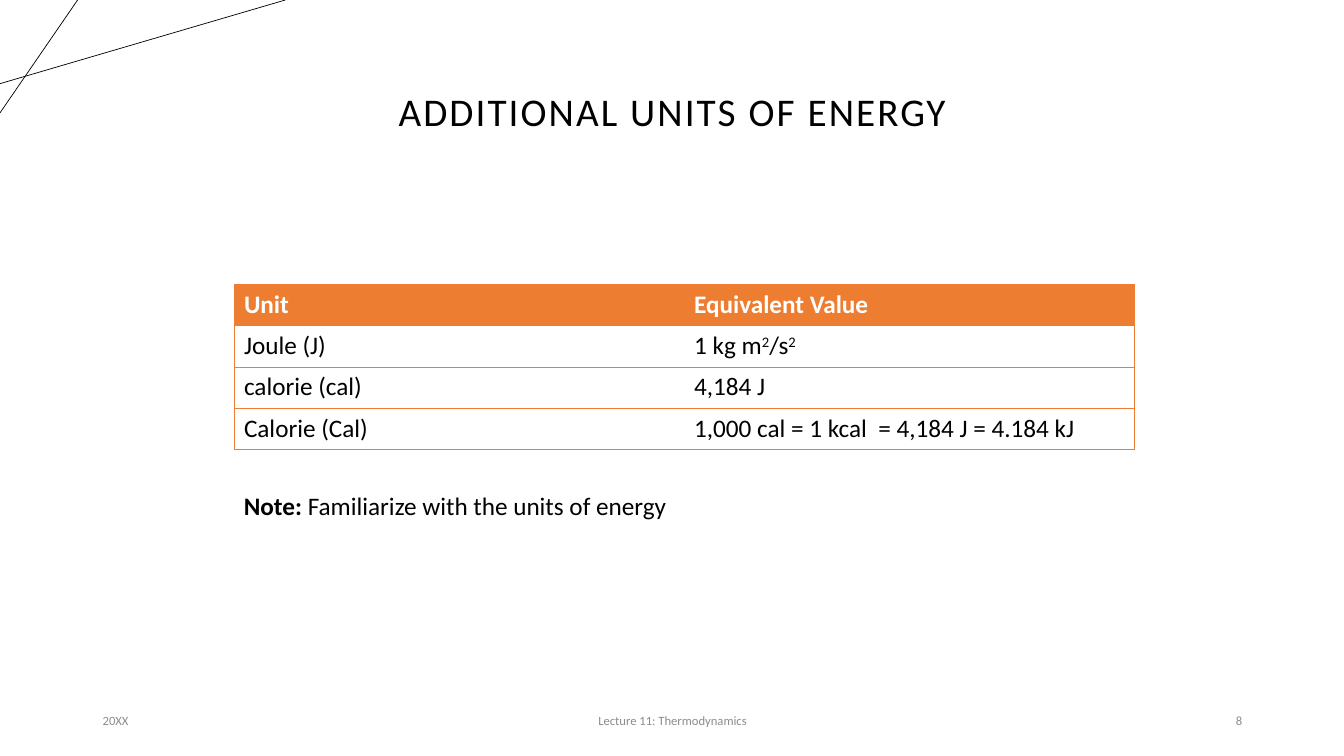
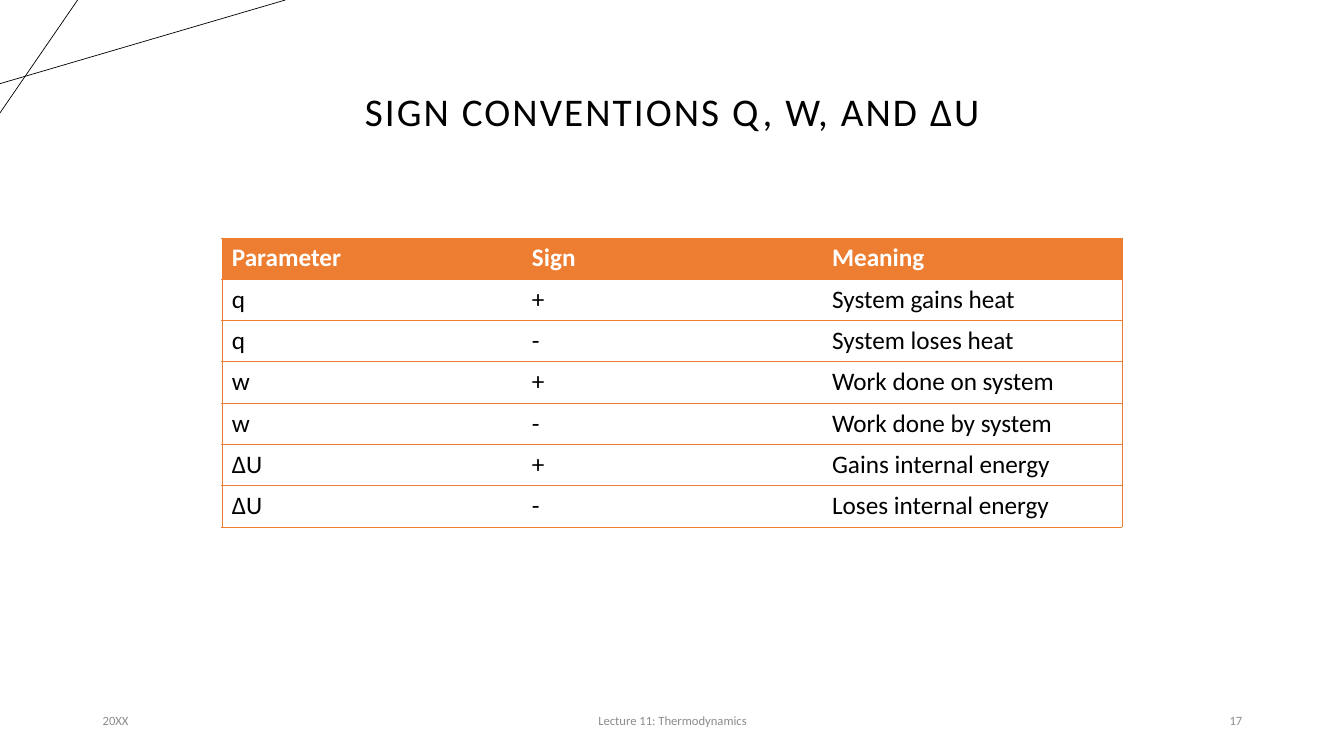
import pptx
import pptx.util
import pptx.dml.color
import pptx.enum.shapes
import pptx.enum.text
import pptx.oxml.ns
from lxml import etree

Color = pptx.dml.color.RGBColor
Align = pptx.enum.text.PP_ALIGN
Anchor = pptx.enum.text.MSO_ANCHOR

BLACK = Color(0x00, 0x00, 0x00)
WHITE = Color(0xFF, 0xFF, 0xFF)
GRAY = Color(0x8C, 0x8C, 0x8C)
ORANGE = Color(0xED, 0x7D, 0x31)

FONT = "Calibri"
UNIT = 9144
WIDTH, HEIGHT = 1333, 750
ROW = 41
LINE = pptx.util.Pt(0.5)


def px(*sizes):
    return [pptx.util.Emu(size * UNIT) for size in sizes]


def node(parent, tag, **attrs):
    return etree.SubElement(parent, pptx.oxml.ns.qn(tag), **attrs)


class Deck:
    def __init__(self):
        self.show = pptx.Presentation()
        self.show.slide_width, self.show.slide_height = px(WIDTH, HEIGHT)
        self.slide = None

    def start(self, title, number):
        self.slide = self.show.slides.add_slide(self.show.slide_layouts[5])
        self.line(0, 83, 283, 0)
        self.line(77, 0, 0, 112)
        self.title(title)
        self.text(92, 695, 300, 40, "20XX", 9, GRAY, Align.LEFT, Anchor.MIDDLE)
        self.text(442, 695, 450, 40, "Lecture 11: Thermodynamics", 9, GRAY,
                  Align.CENTER, Anchor.MIDDLE)
        self.text(942, 695, 300, 40, str(number), 9, GRAY, Align.RIGHT, Anchor.MIDDLE)

    def fill(self, frame, runs, size, color, align=Align.LEFT, bold=None):
        para = frame.paragraphs[0]
        para.alignment = align
        font = para.font
        font.name, font.size, font.bold = FONT, pptx.util.Pt(size), bold
        font.color.rgb = color
        for words, attrs in [(runs, {})] if isinstance(runs, str) else runs:
            run = para.add_run()
            run.text = words
            for key, value in attrs.items():
                run._r.get_or_add_rPr().set(key, value)
        return para

    def title(self, words):
        shape = self.slide.shapes.title
        shape.left, shape.top, shape.width, shape.height = px(92, 40, 1150, 145)
        shape.text_frame.vertical_anchor = Anchor.MIDDLE
        para = self.fill(shape.text_frame, [(words, {"spc": "150"})], 28, BLACK,
                         Align.CENTER)
        para.line_spacing = 0.9

    def text(self, left, top, width, height, runs, size, color,
             align=Align.LEFT, anchor=Anchor.TOP):
        frame = self.slide.shapes.add_textbox(*px(left, top, width, height)).text_frame
        frame.word_wrap = True
        frame.vertical_anchor = anchor
        self.fill(frame, runs, size, color, align)

    def line(self, *ends):
        kind = pptx.enum.shapes.MSO_CONNECTOR.STRAIGHT
        line = self.slide.shapes.add_connector(kind, *px(*ends))
        line.line.color.rgb = BLACK
        line.line.width = LINE
        node(line._element.spPr, "a:effectLst")

    def border(self, cell, sides):
        props = cell._tc.get_or_add_tcPr()
        for spot, side in enumerate("LRTB"):
            edge = node(props, "a:ln" + side, w=str(LINE))
            if side in sides:
                node(node(edge, "a:solidFill"), "a:srgbClr", val=str(ORANGE))
            else:
                node(edge, "a:noFill")
            props.insert(spot, edge)

    def table(self, left, top, width, rows):
        count = len(rows[0])
        frame = self.slide.shapes.add_table(
            len(rows), count, *px(left, top, width, ROW * len(rows)))
        table = frame.table
        table.horz_banding = False
        for r, row in enumerate(rows):
            for c, runs in enumerate(row):
                cell = table.cell(r, c)
                head = r == 0
                cell.fill.solid()
                cell.fill.fore_color.rgb = ORANGE if head else WHITE
                self.fill(cell.text_frame, runs, 18, WHITE if head else BLACK, bold=head)
                self.border(cell, "TB" + "L" * (c == 0) + "R" * (c == count - 1))


def main():
    deck = Deck()
    power = ("2", {"baseline": "30000"})

    deck.start("ADDITIONAL UNITS OF ENERGY", 8)
    deck.table(232, 282, 893, [
        ("Unit", "Equivalent Value"),
        ("Joule (J)", [("1 kg m", {}), power, ("/s", {}), power]),
        ("calorie (cal)", "4,184 J"),
        ("Calorie (Cal)", "1,000 cal = 1 kcal  = 4,184 J = 4.184 kJ"),
    ])
    deck.text(232, 482, 501, 40, [
        ("Note:", {"b": "1"}), (" Familiarize with the units of energy", {}),
    ], 18, BLACK)

    deck.start("SIGN CONVENTIONS Q, W, AND ΔU", 17)
    deck.table(220, 236, 893, [
        ("Parameter", "Sign", "Meaning"),
        ("q", "+", "System gains heat"),
        ("q", "-", "System loses heat"),
        ("w", "+", "Work done on system"),
        ("w", "-", "Work done by system"),
        ("ΔU", "+", "Gains internal energy"),
        ("ΔU", "-", "Loses internal energy"),
    ])

    deck.show.save("out.pptx")


if __name__ == "__main__":
    main()
